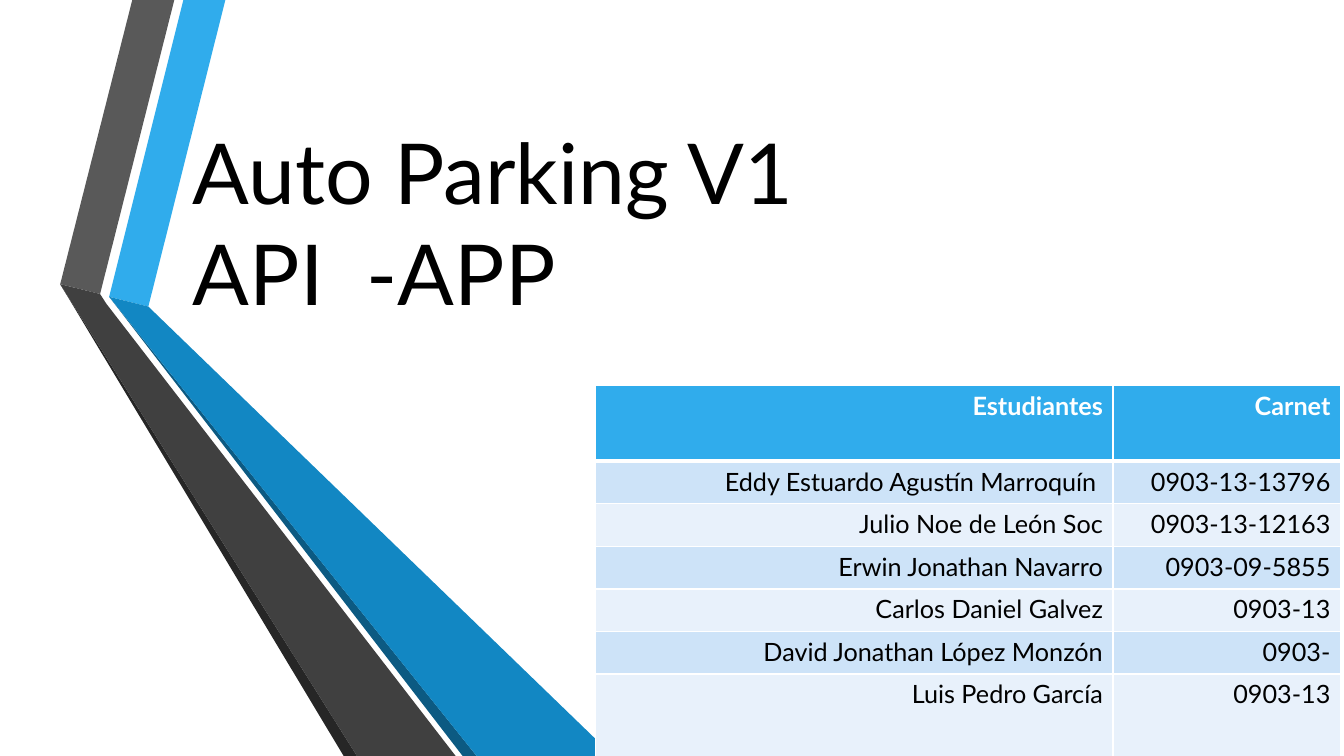
from lxml import etree
from pptx import Presentation
from pptx import util as u
from pptx.dml.color import RGBColor
from pptx.enum import text
from pptx.oxml import ns

Pt = u.Pt
FONT = "Lato"
WHITE = RGBColor(0xFF, 0xFF, 0xFF)
BLACK = RGBColor(0, 0, 0)
SKY = RGBColor(0x30, 0xAC, 0xEC)
BLUE = RGBColor(0x12, 0x87, 0xC3)
NAVY = RGBColor(0x0C, 0x5A, 0x82)
GRAY = RGBColor(0x59, 0x59, 0x59)
CHARCOAL = RGBColor(0x40, 0x40, 0x40)
SOOT = RGBColor(0x26, 0x26, 0x26)
BAND_DARK = RGBColor(0xCD, 0xE3, 0xF8)
BAND_LIGHT = RGBColor(0xE8, 0xF1, 0xFB)


def add_run(p, value, size, color, bold=False):
    r = p.add_run()
    r.text = value
    r.font.name = FONT
    r.font.size = Pt(size)
    r.font.bold = bold
    r.font.color.rgb = color


def add_border(cell, side, width):
    ln = etree.SubElement(cell._tc.get_or_add_tcPr(), ns.qn("a:ln" + side), w=str(Pt(width)))
    fill = etree.SubElement(ln, ns.qn("a:solidFill"))
    etree.SubElement(fill, ns.qn("a:srgbClr"), val=str(WHITE))


prs = Presentation()
prs.slide_width, prs.slide_height = Pt(960), Pt(540)
s = prs.slides.add_slide(prs.slide_layouts[5])

ribbons = [
    (SKY, [(78, 212), (106, 219), (161, 0), (131, 0)]),
    (GRAY, [(71.5, 210), (124.5, 0), (94.5, 0), (43, 203)]),
    (SOOT, [(43, 203), (245.5, 540), (255, 540)]),
    (NAVY, [(78, 212), (330.5, 540), (340.5, 540)]),
    (BLUE, [(78, 212), (340.5, 540), (438, 540), (106, 219)]),
    (CHARCOAL, [(43, 203), (255, 540), (325.5, 540), (76, 217), (71.5, 210)]),
]
for color, points in ribbons:
    corners = [(Pt(x), Pt(y)) for x, y in points]
    outline = s.shapes.build_freeform(*corners[0])
    outline.add_line_segments(corners[1:])
    sp = outline.convert_to_shape()
    sp.shadow.inherit = False
    sp.fill.solid()
    sp.fill.fore_color.rgb = color
    sp.line.fill.background()

title = s.shapes.title
title.left, title.top, title.width, title.height = Pt(130.5), Pt(45.5), Pt(720), Pt(188)
tf = title.text_frame
tf.word_wrap = True
tf.auto_size = text.MSO_AUTO_SIZE.NONE
tf.vertical_anchor = text.MSO_ANCHOR.BOTTOM
p = tf.paragraphs[0]
p.alignment = text.PP_ALIGN.LEFT
add_run(p, "Auto Parking V1", 60, BLACK)
p.add_line_break()
add_run(p, "API\u00a0 -APP", 60, BLACK)

students = [
    ("Estudiantes", "Carnet"),
    ("Eddy Estuardo Agustín Marroquín\u00a0", "0903-13-13796"),
    ("Julio Noe de León\u00a0Soc", "0903-13-12163"),
    ("Erwin Jonathan Navarro", "0903-09-5855"),
    ("Carlos Daniel\u00a0Galvez", "0903-13"),
    ("David Jonathan López Monzón", "0903-"),
    ("Luis Pedro García", "0903-13"),
]
heights = [54] + [30.4] * 5 + [78.5]
table = s.shapes.add_table(len(students), 2, Pt(425.5), Pt(275.5), Pt(532), Pt(sum(heights))).table
table.columns[0].width, table.columns[1].width = Pt(369.5), Pt(162.5)
for row, (student, height) in enumerate(zip(students, heights)):
    table.rows[row].height = Pt(height)
    header = row == 0
    for col, value in enumerate(student):
        cell = table.cell(row, col)
        for side in "LRTB":
            heavy = (row, side) in [(0, "B"), (1, "T")]
            add_border(cell, side, 3 if heavy else 1)
        cell.fill.solid()
        cell.fill.fore_color.rgb = SKY if header else BAND_DARK if row % 2 else BAND_LIGHT
        p = cell.text_frame.paragraphs[0]
        p.alignment = text.PP_ALIGN.RIGHT
        add_run(p, value, 18, WHITE if header else BLACK, header)

prs.save("out.pptx")
